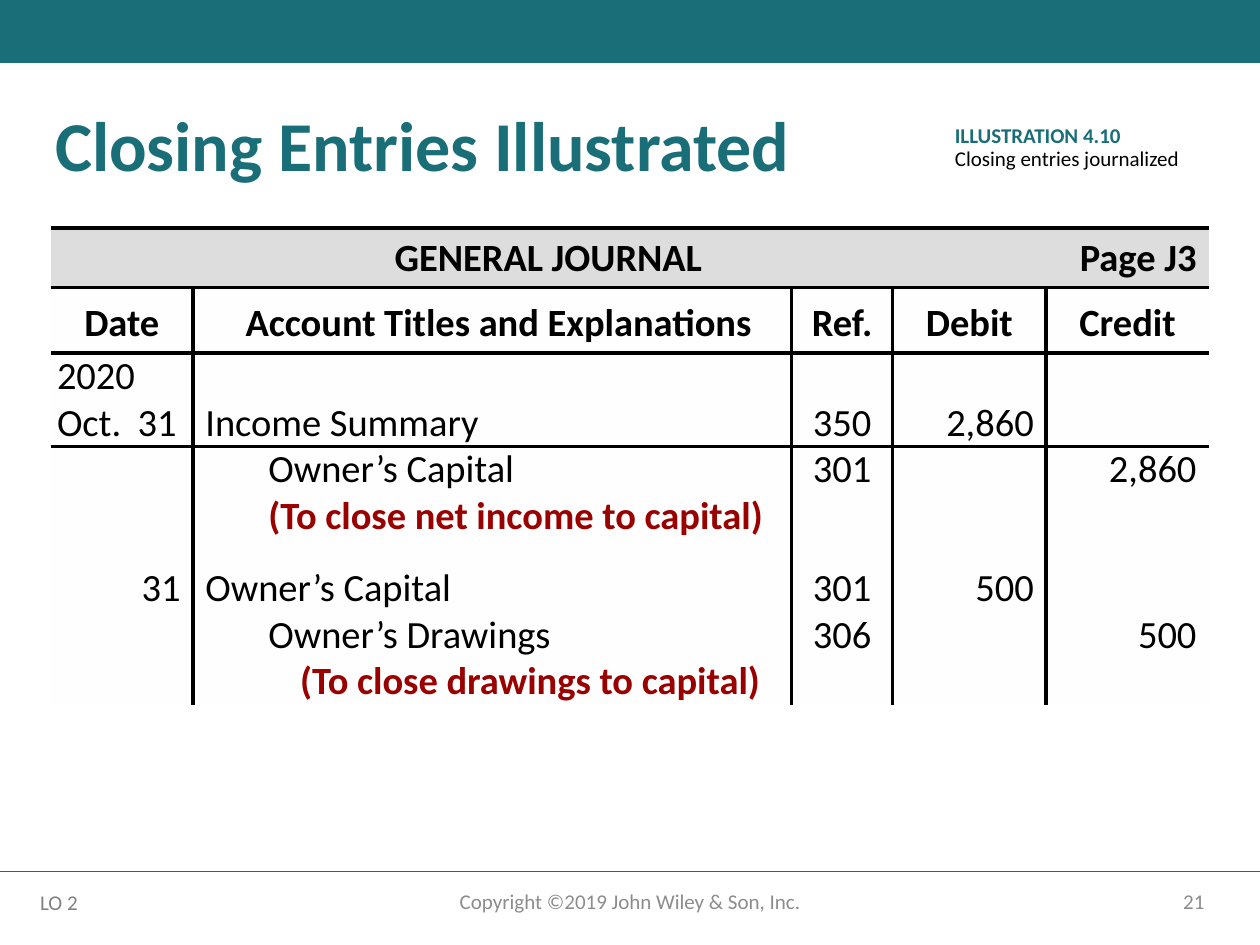
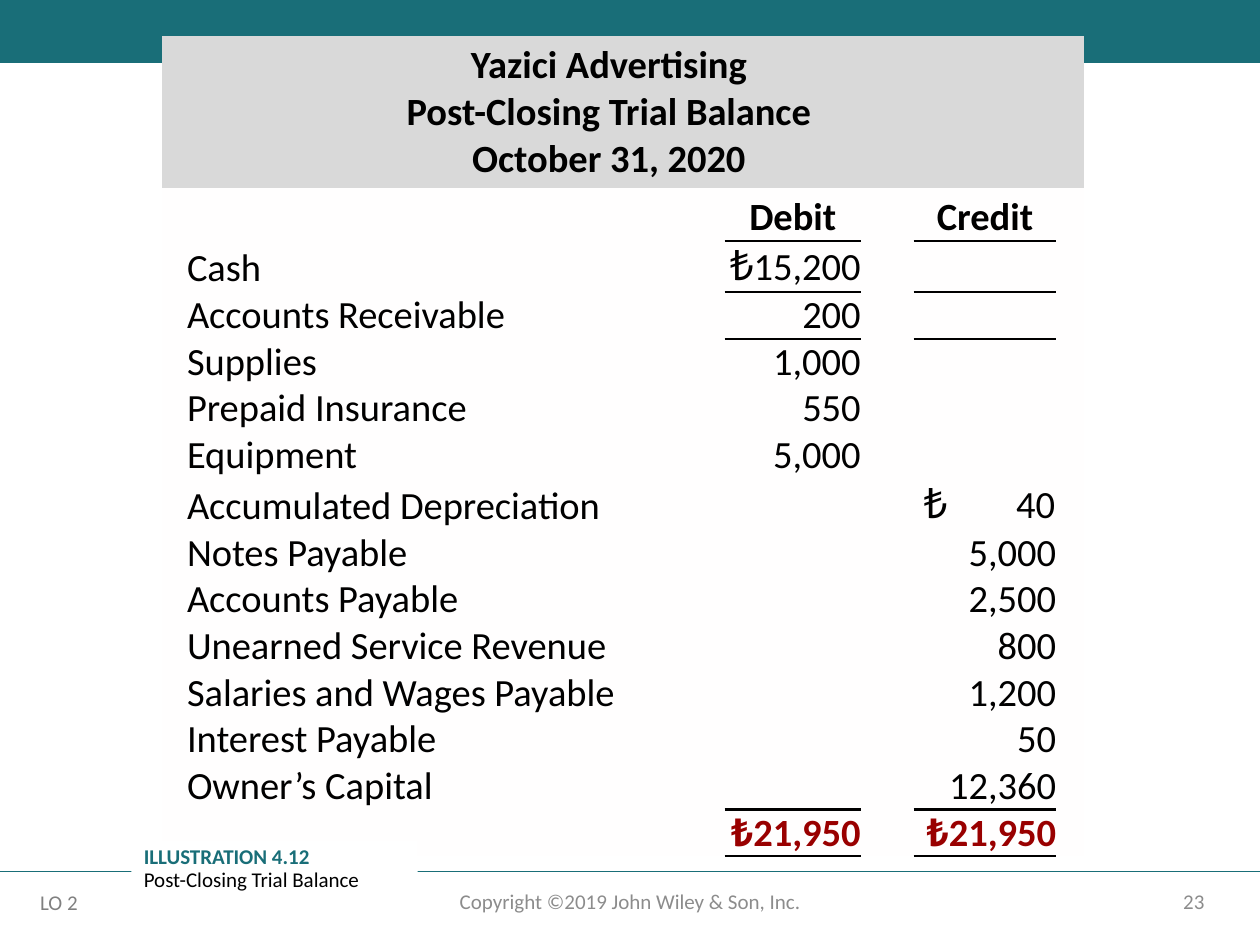
"""Build two accounting slides: closing entries and a post-closing trial balance."""
from dataclasses import dataclass, replace
from typing import Callable

import lxml.etree
import pptx
import pptx.dml.color
import pptx.enum.shapes
import pptx.enum.text
import pptx.oxml.ns
import pptx.util

Cm = pptx.util.Cm
Pt = pptx.util.Pt
ALIGN = pptx.enum.text.PP_ALIGN
ANCHOR = pptx.enum.text.MSO_ANCHOR
SHAPE = pptx.enum.shapes.MSO_SHAPE
qn = pptx.oxml.ns.qn

FONT = "Calibri"
TEAL, BLACK, RED, WHITE = "196E78", "000000", "990000", "FFFFFF"
PAPER, PAGE_GRAY, LO_GRAY = "FFFEFE", "8C8C8C", "808080"
PLAIN_TABLE = "{2D5ABB26-0587-4C30-8999-92F81FD0307C}"
LINE = 0.94
TALL_LINE = 1.03
SYMBOL_SIZE = 24


@dataclass(frozen=True)
class Piece:
    """A run of text with its look."""
    text: str
    size: float = 22
    color: str = BLACK
    bold: bool = False


@dataclass(frozen=True)
class Entry:
    """A table cell: paragraphs of pieces, alignment and insets in cm."""
    lines: tuple[tuple[Piece, ...], ...] = ()
    align: ALIGN = ALIGN.LEFT
    left: float = 0
    top: float = 0
    right: float = 0
    bottom: float = 0
    anchor: ANCHOR = ANCHOR.BOTTOM
    tab: float = 0


@dataclass(frozen=True)
class Box:
    """A text block with its place in cm."""
    left: float
    top: float
    width: float
    height: float
    lines: tuple[tuple[Piece, ...], ...]
    align: ALIGN = ALIGN.LEFT
    anchor: ANCHOR = ANCHOR.TOP
    spacing: float = 1.0
    inset: float = 0.25
    fill: str = ""


@dataclass(frozen=True)
class Ledger:
    """A table with its place, grid and border rule."""
    left: float
    top: float
    widths: tuple[float, ...]
    heights: tuple[float, ...]
    rows: list[list[Entry]]
    head_fill: str
    border: float
    sides: Callable[[int, int], str]


def rgb(color: str) -> pptx.dml.color.RGBColor:
    """Turn a hex string into a colour."""
    return pptx.dml.color.RGBColor.from_string(color)


def write(frame, lines, align: ALIGN, spacing: float = 1.0, tab: float = 0) -> None:
    """Write paragraphs into a text frame run by run."""
    for number, pieces in enumerate(lines):
        paragraph = frame.add_paragraph() if number else frame.paragraphs[0]
        if tab:
            stops = lxml.etree.SubElement(paragraph._p.get_or_add_pPr(), qn("a:tabLst"))
            lxml.etree.SubElement(stops, qn("a:tab"), pos=str(Cm(tab)), algn="r")
        paragraph.alignment = align
        if spacing != 1.0:
            paragraph.line_spacing = spacing
        for piece in pieces:
            run = paragraph.add_run()
            run.text = piece.text
            run.font.name = FONT
            run.font.size = Pt(piece.size)
            run.font.bold = piece.bold
            run.font.color.rgb = rgb(piece.color)


def draw_box(slide, box: Box) -> None:
    """Draw a text block, on a filled rectangle if it has a fill."""
    place = Cm(box.left), Cm(box.top), Cm(box.width), Cm(box.height)
    if box.fill:
        shape = slide.shapes.add_shape(SHAPE.RECTANGLE, *place)
        shape.shadow.inherit = False
        shape.fill.solid()
        shape.fill.fore_color.rgb = rgb(box.fill)
        shape.line.fill.background()
    else:
        shape = slide.shapes.add_textbox(*place)
    frame = shape.text_frame
    frame.word_wrap = True
    frame.vertical_anchor = box.anchor
    frame.margin_left = frame.margin_right = Cm(box.inset)
    write(frame, box.lines, box.align, box.spacing)


def draw_borders(cell, sides: str, width: float) -> None:
    """Add black borders on the named sides of a cell."""
    properties = cell._tc.get_or_add_tcPr()
    for side in (mark for mark in "LRTB" if mark in sides):
        line = lxml.etree.SubElement(properties, qn(f"a:ln{side}"), w=str(Pt(width)))
        fill = lxml.etree.SubElement(line, qn("a:solidFill"))
        lxml.etree.SubElement(fill, qn("a:srgbClr"), val=BLACK)


def draw_ledger(slide, ledger: Ledger) -> None:
    """Draw a ledger whose first row spans all columns but the last."""
    table = slide.shapes.add_table(
        len(ledger.heights), len(ledger.widths), Cm(ledger.left), Cm(ledger.top),
        Cm(sum(ledger.widths)), Cm(sum(ledger.heights))).table
    table.first_row = table.horz_banding = False
    table._tbl.tblPr.find(qn("a:tableStyleId")).text = PLAIN_TABLE
    for column, width in zip(table.columns, ledger.widths):
        column.width = Cm(width)
    for row, height in zip(table.rows, ledger.heights):
        row.height = Cm(height)
    table.cell(0, 0).merge(table.cell(0, len(ledger.widths) - 2))
    for r, entries in enumerate(ledger.rows):
        for c, entry in enumerate(entries):
            cell = table.cell(r, c)
            draw_borders(cell, ledger.sides(r, c), ledger.border)
            cell.fill.solid()
            cell.fill.fore_color.rgb = rgb(PAPER if r else ledger.head_fill)
            cell.margin_left, cell.margin_right = Cm(entry.left), Cm(entry.right)
            cell.margin_top, cell.margin_bottom = Cm(entry.top), Cm(entry.bottom)
            cell.vertical_anchor = entry.anchor
            write(cell.text_frame, entry.lines, entry.align, tab=entry.tab)


def add_page(deck, number: int):
    """Add a slide with the band, the footer line and the footer texts."""
    slide = deck.slides.add_slide(deck.slide_layouts[6])
    draw_box(slide, Box(0, 0, 25.4, 1.27, (), fill=TEAL))
    rule = slide.shapes.add_connector(
        pptx.enum.shapes.MSO_CONNECTOR.STRAIGHT, Cm(0), Cm(17.57), Cm(25.4), Cm(17.57))
    rule.line.color.rgb = rgb(TEAL)
    rule.line.width = Pt(1)
    lxml.etree.SubElement(rule._element.spPr, qn("a:effectLst"))
    footers = (
        Box(17.93, 17.65, 6.6, 1.02, ((Piece(str(number), 12, PAGE_GRAY),),),
            ALIGN.RIGHT, ANCHOR.MIDDLE),
        Box(8.41, 17.65, 8.59, 1.02,
            ((Piece("Copyright ©2019 John Wiley & Son, Inc.", 12, PAGE_GRAY),),),
            ALIGN.CENTER, ANCHOR.MIDDLE),
        Box(0.81, 17.81, 1.3, 0.76, ((Piece("LO 2", 12, LO_GRAY),),), inset=0),
    )
    for footer in footers:
        draw_box(slide, footer)
    return slide


def caption(left: float, top: float, label: str, text: str) -> Box:
    """Return an illustration caption."""
    lines = ((Piece(label, 12, TEAL, True),), (Piece(text, 12),))
    return Box(left, top, 5.77, 1.17, lines, spacing=0.9, fill=WHITE)


def heading(*texts: str, top: float = 0.13, bottom: float = 0.13, left: float = 0) -> Entry:
    """Return a bold centred cell."""
    lines = tuple((Piece(text, bold=True),) for text in texts)
    return Entry(lines, ALIGN.CENTER, left, top, 0, bottom)


def banner(*texts: str) -> Entry:
    """Return the heading of a whole ledger."""
    return replace(heading(*texts), anchor=ANCHOR.MIDDLE)


def plain(text: str, left: float = 0, top: float = 0) -> Entry:
    """Return a left-aligned cell."""
    return Entry(((Piece(text),),), left=left, top=top) if text else Entry()


def amount(text: str, right: float = 0, top: float = 0) -> Entry:
    """Return a right-aligned cell."""
    return replace(plain(text, top=top), align=ALIGN.RIGHT, right=right)


def posting(date: Entry, account: Entry, ref: str = "", debit: str = "",
            credit: str = "", top: float = 0) -> list[Entry]:
    """Return one journal row."""
    return [date, replace(account, top=top),
            replace(plain(ref, top=top), align=ALIGN.CENTER),
            amount(debit, 0.25, top), amount(credit, 0.25, top)]


def explanation(text: str, left: float) -> Entry:
    """Return a red journal explanation."""
    return Entry(((Piece(text, color=RED, bold=True),),), left=left)


def journal_sides(row: int, column: int) -> str:
    """Name the ruled sides of a journal cell."""
    sides = "TB" if row < 2 else "T" if row == 2 else ""
    if row:
        sides += ("L" if column else "") + ("R" if column < 4 else "")
    return sides


def balance_sides(row: int, column: int) -> str:
    """Name the ruled sides of a trial balance cell."""
    ruled = (1, 2, 13, 14)
    if column not in (1, 3):
        return ""
    return ("T" if row - 1 in ruled else "") + ("B" if row in ruled else "")


def build_journal(deck) -> None:
    """Build the slide with the closing entries."""
    slide = add_page(deck, 21)
    first_date = Entry(((Piece("2020"),), (Piece("Oct.\t31"),)), left=0.13, tab=2.41)
    gap, indent = 0.51, 1.52
    page = replace(banner("Page J3"), align=ALIGN.RIGHT, right=0.25)
    titles = ("Date", "Account Titles and Explanations", "Ref.", "Debit", "Credit")
    rows = [
        [banner("GENERAL JOURNAL"), Entry(), Entry(), Entry(), page],
        [heading(title, top=0.25, left=0.25 if column == 1 else 0)
         for column, title in enumerate(titles)],
        posting(first_date, plain("Income Summary", 0.25), "350", "2,860"),
        posting(Entry(), plain("Owner’s Capital", indent), "301", credit="2,860"),
        posting(Entry(), explanation("(To close net income to capital)", indent)),
        posting(amount("31", 0.25, gap), plain("Owner’s Capital", 0.25), "301", "500", top=gap),
        posting(Entry(), plain("Owner’s Drawings", indent), "306", credit="500"),
        posting(Entry(), explanation("(To close drawings to capital)", 2.16)),
    ]
    heights = (1.2, 1.32, 2 * LINE, LINE, LINE, LINE + gap, LINE, LINE)
    draw_ledger(slide, Ledger(1.02, 4.6, (2.87, 12.07, 2.03, 3.1, 3.28), heights, rows,
                              "DDDDDD", 2.25, journal_sides))
    draw_box(slide, Box(0.86, 2.11, 17.8, 1.8,
                        ((Piece("Closing Entries Illustrated", 40, TEAL, True),),), spacing=0.9))
    draw_box(slide, caption(19, 2.41, "ILLUSTRATION 4.10", "Closing entries journalized"))


def build_balance(deck) -> None:
    """Build the slide with the post-closing trial balance."""
    slide = add_page(deck, 23)
    balances = (
        ("Cash", "", ""), ("Accounts Receivable", "200", ""), ("Supplies", "1,000", ""),
        ("Prepaid Insurance", "550", ""), ("Equipment", "5,000", ""),
        ("Accumulated Depreciation", "", ""), ("Notes Payable", "", "5,000"),
        ("Accounts Payable", "", "2,500"), ("Unearned Service Revenue", "", "800"),
        ("Salaries and Wages Payable", "", "1,200"), ("Interest Payable", "", "50"),
        ("Owner’s Capital", "", "12,360"),
    )
    lira = Piece("₺", SYMBOL_SIZE)
    total = Entry(((Piece("₺21,950", color=RED, bold=True),),), ALIGN.RIGHT)
    rows = [
        [banner("Yazici Advertising", "Post-Closing Trial Balance", "October 31, 2020")]
        + [Entry()] * 4,
        [Entry(), heading("Debit", bottom=0), Entry(), heading("Credit", top=0, bottom=0), Entry()],
        *([plain(account, 0.51), amount(debit), Entry(), amount(credit), Entry()]
          for account, debit, credit in balances),
        [Entry(), total, Entry(), total, Entry()],
    ]
    rows[2][1] = Entry(((lira, Piece("15,200")),), ALIGN.RIGHT)
    rows[7][3] = Entry(((lira, Piece("\t40")),), left=0.2, tab=2.65)
    heights = (3.07, 1.07, *(TALL_LINE if r in (2, 7) else LINE for r in range(2, 15)))
    draw_ledger(slide, Ledger(3.26, 0.72, (11.35, 2.74, 1.07, 2.87, 0.56), heights, rows,
                              "D9D9D9", 1.5, balance_sides))
    draw_box(slide, caption(2.65, 16.94, "ILLUSTRATION 4.12", "Post-Closing Trial Balance"))


def main() -> None:
    """Build and save the deck."""
    deck = pptx.Presentation()
    deck.slide_width, deck.slide_height = Cm(25.4), Cm(19.05)
    build_journal(deck)
    build_balance(deck)
    deck.save("out.pptx")


if __name__ == "__main__":
    main()
